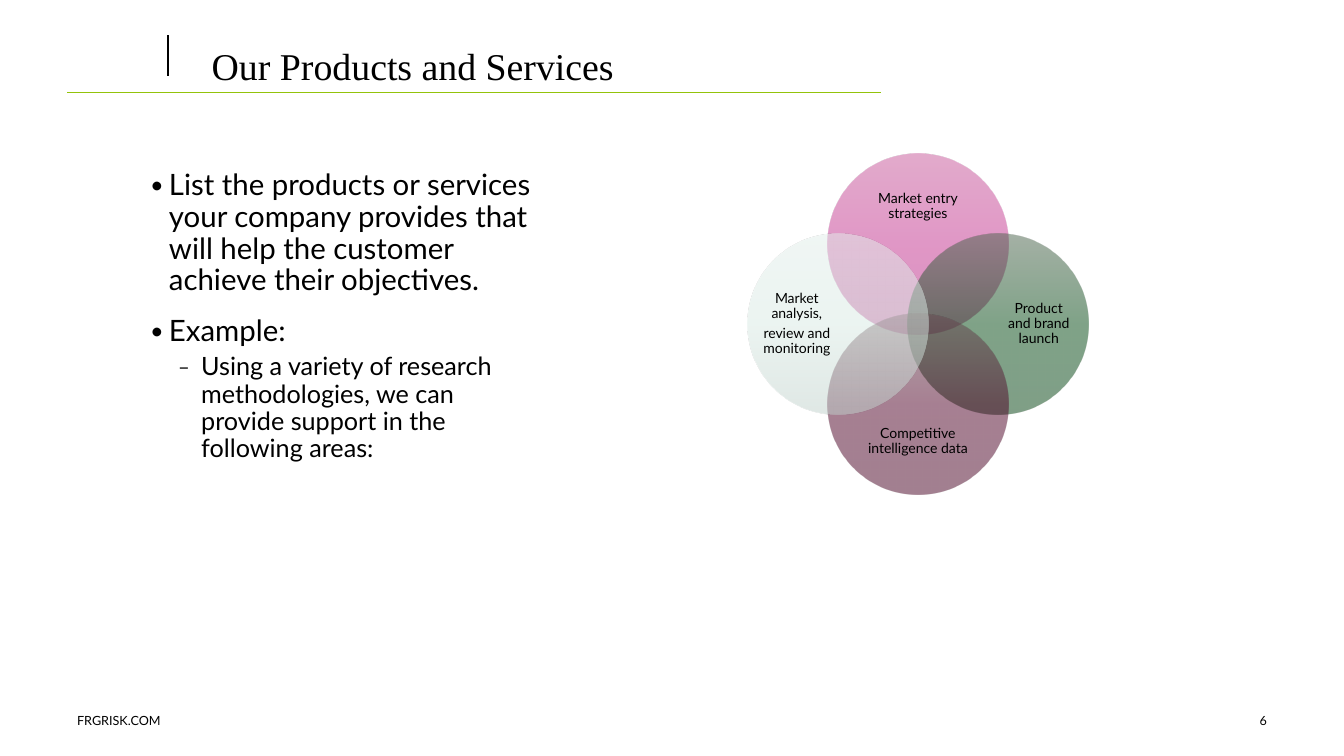
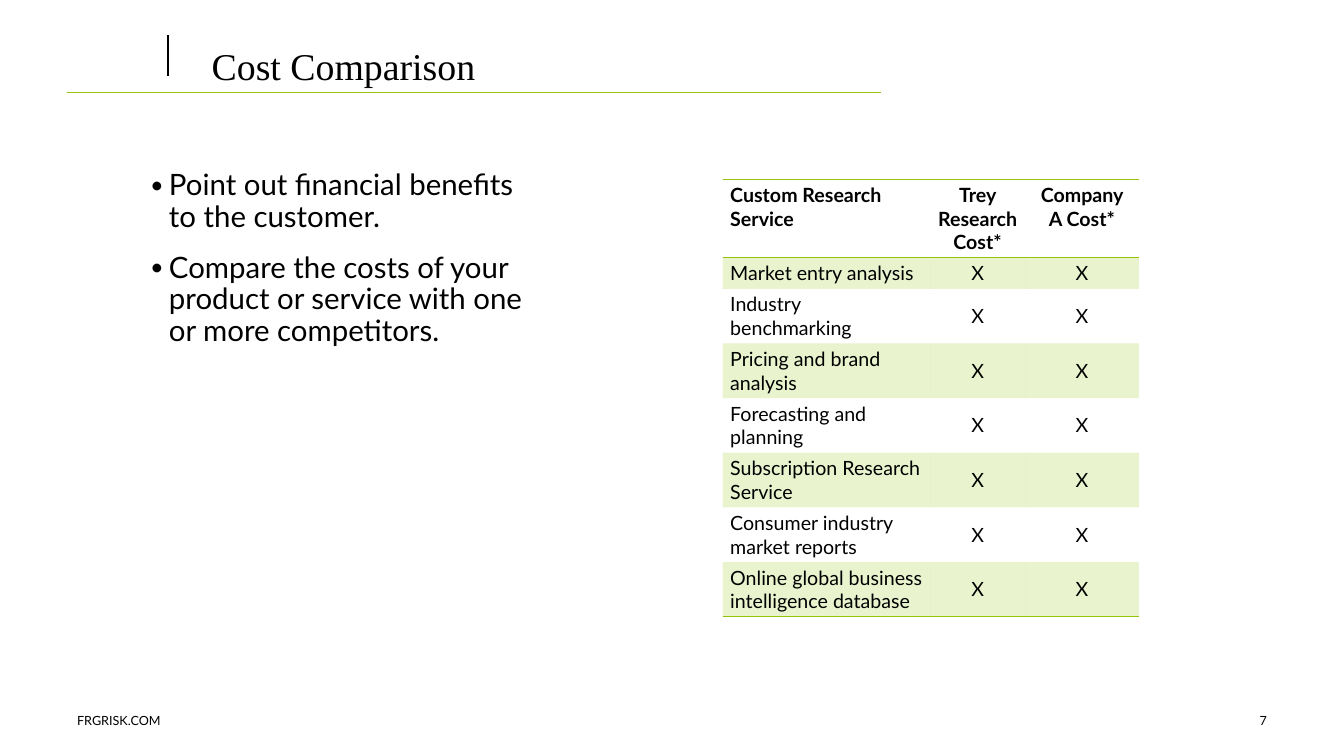
"""Build the products and cost comparison slides."""
from dataclasses import dataclass

from lxml import etree
from pptx import Presentation
from pptx.dml.color import RGBColor
from pptx.enum.shapes import MSO_CONNECTOR, MSO_SHAPE
from pptx.enum.text import MSO_ANCHOR, MSO_AUTO_SIZE, PP_ALIGN
from pptx.oxml.ns import qn
from pptx.util import Pt

LEFT, CENTER, RIGHT = PP_ALIGN.LEFT, PP_ALIGN.CENTER, PP_ALIGN.RIGHT
TOP, MIDDLE, BOTTOM = MSO_ANCHOR.TOP, MSO_ANCHOR.MIDDLE, MSO_ANCHOR.BOTTOM
NO_AUTOFIT = MSO_AUTO_SIZE.NONE
STRAIGHT, OVAL = MSO_CONNECTOR.STRAIGHT, MSO_SHAPE.OVAL

COLORS = {"text": "000000", "accent": "93C30B"}
TITLE_FONT, BODY_FONT = "Times New Roman", "Lato"
PLAIN_TABLE_STYLE = "{2D5ABB26-0587-4C30-8999-92F81FD0307C}"

VENN_X, VENN_Y = 655.6, 231.5
CIRCLE_SIZE, CIRCLE_OFFSET = 128.9, 57.2
LABEL_OFFSET_X, LABEL_OFFSET_Y = 86.4, 84


@dataclass(frozen=True)
class Rule:
    start: tuple[float, float]
    end: tuple[float, float]
    color: str
    weight: float


@dataclass(frozen=True)
class Box:
    left: float
    top: float
    width: float
    height: float

    def lengths(self) -> tuple[Pt, Pt, Pt, Pt]:
        return Pt(self.left), Pt(self.top), Pt(self.width), Pt(self.height)


@dataclass(frozen=True)
class BulletLevel:
    symbol: str
    size: float
    margin: float
    indent: float
    space_before: float


@dataclass(frozen=True)
class Bullet:
    text: str
    level: int = 0


@dataclass(frozen=True)
class Circle:
    lines: tuple[str, ...]
    direction: tuple[int, int]
    gradient: tuple[str, str, str]


TITLE_RULES = (
    Rule((48, 66.2), (629.3, 66.2), "accent", 0.5),
    Rule((120, 25.2), (120, 54), "text", 1.5),
)
TITLE_BOX = Box(144, 24, 768, 42)
BODY_BOX = Box(100, 118, 290.2, 329.8)
FOOTER_BOX = Box(48, 500.4, 304, 28.8)
NUMBER_BOX = Box(688, 500.4, 224, 28.8)
TABLE_BOX = Box(516.2, 128.2, 297.4, 314.6)

BULLET_LEVELS = (
    BulletLevel("•", 21, 13.5, -13.5, 13.5),
    BulletLevel("–", 18, 36.5, -16.5, 4.5),
)
PRODUCT_BULLETS = (
    Bullet("List the products or services your company provides that will help "
           "the customer achieve their objectives."),
    Bullet("Example:"),
    Bullet("Using a variety of research methodologies, we can provide support "
           "in the following areas:", 1),
)
COST_BULLETS = (
    Bullet("Point out financial benefits to the customer."),
    Bullet("Compare the costs of your product or service with one or more competitors."),
)
CIRCLES = (
    Circle(("Market entry strategies",), (0, -1), ("C7579A", "C42F8F", "B42481")),
    Circle(("Product and brand launch",), (1, 0), ("4B624C", "004610", "003E0E")),
    Circle(("Competitive intelligence data",), (0, 1), ("664B51", "4E0025", "450021")),
    Circle(("Market analysis,", "review and monitoring"), (-1, 0),
           ("E3EFEB", "DAEBE5", "C1D2CC")),
)
COST_HEADER = ("Custom Research Service", "Trey Research Cost*", "Company A Cost*")
COST_SERVICES = (
    "Market entry analysis",
    "Industry benchmarking",
    "Pricing and brand analysis",
    "Forecasting and planning",
    "Subscription Research Service",
    "Consumer industry market reports",
    "Online global business intelligence database",
)
COLUMN_WIDTHS = (148.3, 67.7, 81.4)
HEADER_HEIGHT, FIRST_HEIGHT, ROW_HEIGHT = 54, 21.6, 38.4


def rgb(name: str) -> RGBColor:
    return RGBColor.from_string(COLORS[name])


def set_font(paragraph, size: float, name: str = BODY_FONT, bold: bool = False) -> None:
    font = paragraph.font
    font.size, font.name, font.bold = Pt(size), name, bold
    font.color.rgb = rgb("text")


def add_child(parent, tag: str, **attributes: str):
    return etree.SubElement(parent, qn(tag), attributes)


def add_rule(slide, rule: Rule) -> None:
    connector = slide.shapes.add_connector(
        STRAIGHT, *(Pt(value) for value in rule.start + rule.end))
    connector.line.color.rgb = rgb(rule.color)
    connector.line.width = Pt(rule.weight)
    add_child(connector.element.spPr, "a:effectLst")


def place(shape, box: Box) -> None:
    shape.left, shape.top, shape.width, shape.height = box.lengths()


def add_text(slide, box: Box, lines: tuple[str, ...], size: float, align,
             inset: bool = True, line_spacing: float = 1, space_after: float = 0) -> None:
    frame = slide.shapes.add_textbox(*box.lengths()).text_frame
    frame.word_wrap = True
    frame.vertical_anchor = MIDDLE
    if not inset:
        frame.margin_left = frame.margin_top = frame.margin_right = frame.margin_bottom = 0
    frame.text = "\n".join(lines)
    for paragraph in frame.paragraphs:
        paragraph.alignment = align
        paragraph.line_spacing = line_spacing
        paragraph.space_after = Pt(space_after)
        set_font(paragraph, size)


def fill_title(shape, title: str) -> None:
    place(shape, TITLE_BOX)
    frame = shape.text_frame
    frame.text = title
    frame.auto_size = NO_AUTOFIT
    frame.vertical_anchor = BOTTOM
    paragraph = frame.paragraphs[0]
    paragraph.alignment = LEFT
    paragraph.line_spacing = 0.8
    set_font(paragraph, 27, TITLE_FONT)


def fill_bullets(shape, bullets: tuple[Bullet, ...]) -> None:
    place(shape, BODY_BOX)
    frame = shape.text_frame
    frame.text = "\n".join(bullet.text for bullet in bullets)
    frame.auto_size = NO_AUTOFIT
    frame.vertical_anchor = TOP
    for index, (paragraph, bullet) in enumerate(zip(frame.paragraphs, bullets)):
        level = BULLET_LEVELS[bullet.level]
        paragraph.level = bullet.level
        paragraph.alignment = LEFT
        paragraph.line_spacing = 0.9
        paragraph.space_before = Pt(level.space_before if index else 0)
        properties = paragraph._p.get_or_add_pPr()
        properties.set("marL", str(Pt(level.margin)))
        properties.set("indent", str(Pt(level.indent)))
        add_child(add_child(properties, "a:buClr"), "a:srgbClr", val=COLORS["text"])
        add_child(properties, "a:buSzPct", val="80000")
        add_child(properties, "a:buFont", typeface=BODY_FONT)
        add_child(properties, "a:buChar", char=level.symbol)
        set_font(paragraph, level.size)


def add_slide(presentation, title: str, bullets: tuple[Bullet, ...], number: int):
    slide = presentation.slides.add_slide(presentation.slide_layouts[1])
    for rule in TITLE_RULES:
        add_rule(slide, rule)
    fill_title(slide.shapes.title, title)
    fill_bullets(slide.placeholders[1], bullets)
    add_text(slide, FOOTER_BOX, ("FRGRISK.COM",), 9, LEFT)
    add_text(slide, NUMBER_BOX, (str(number),), 9, RIGHT)
    return slide


def set_gradient(shape, colors: tuple[str, str, str]) -> None:
    shape.fill.background()
    properties = shape.element.spPr
    gradient = etree.Element(qn("a:gradFill"), rotWithShape="1")
    stops = add_child(gradient, "a:gsLst")
    for position, color in zip((0, 50000, 100000), colors):
        stop = add_child(stops, "a:gs", pos=str(position))
        add_child(add_child(stop, "a:srgbClr", val=color), "a:alpha", val="50000")
    add_child(gradient, "a:lin", ang="5400000", scaled="0")
    properties.replace(properties.find(qn("a:noFill")), gradient)


def centered_box(x: float, y: float, width: float, height: float) -> Box:
    return Box(x - width / 2, y - height / 2, width, height)


def add_circle(slide, circle: Circle) -> None:
    across, down = circle.direction
    box = centered_box(VENN_X + across * CIRCLE_OFFSET, VENN_Y + down * CIRCLE_OFFSET,
                       CIRCLE_SIZE, CIRCLE_SIZE)
    shape = slide.shapes.add_shape(OVAL, *box.lengths())
    shape.shadow.inherit = False
    shape.line.fill.background()
    set_gradient(shape, circle.gradient)
    label_size = (49.7, 99.4) if across else (99.4, 41)
    label = centered_box(VENN_X + across * LABEL_OFFSET_X,
                         VENN_Y + down * LABEL_OFFSET_Y, *label_size)
    add_text(slide, label, circle.lines, 10, CENTER, False, 0.9, 3.5)


def add_borders(cell, tags: tuple[str, ...]) -> None:
    properties = cell._tc.get_or_add_tcPr()
    for index, tag in enumerate(tags):
        line = etree.Element(qn(tag), w=str(Pt(1)))
        add_child(add_child(line, "a:solidFill"), "a:srgbClr", val=COLORS["accent"])
        properties.insert(index, line)


def format_cell(cell, text: str, header: bool, shaded: bool, align) -> None:
    cell.text = text
    cell.margin_left = cell.margin_right = Pt(5.4)
    cell.margin_top = cell.margin_bottom = Pt(2.7)
    cell.vertical_anchor = TOP if header else MIDDLE
    paragraph = cell.text_frame.paragraphs[0]
    paragraph.alignment = align
    set_font(paragraph, 14, bold=header)
    if shaded:
        cell.fill.solid()
        cell.fill.fore_color.rgb = rgb("accent")
        color = next(cell._tc.tcPr.iter(qn("a:srgbClr")))
        add_child(color, "a:alpha", val="20000")
    else:
        cell.fill.background()


def add_cost_table(slide) -> None:
    rows = [COST_HEADER] + [(service, "X", "X") for service in COST_SERVICES]
    frame = slide.shapes.add_table(len(rows), len(COST_HEADER), *TABLE_BOX.lengths())
    next(frame.element.iter(qn("a:tableStyleId"))).text = PLAIN_TABLE_STYLE
    table = frame.table
    table.first_row = table.horz_banding = False
    for column, width in zip(table.columns, COLUMN_WIDTHS):
        column.width = Pt(width)
    heights = {0: HEADER_HEIGHT, 1: FIRST_HEIGHT}
    borders = {0: ("a:lnT", "a:lnB"), len(rows) - 1: ("a:lnB",)}
    for row_index, texts in enumerate(rows):
        table.rows[row_index].height = Pt(heights.get(row_index, ROW_HEIGHT))
        for column_index, text in enumerate(texts):
            cell = table.cell(row_index, column_index)
            format_cell(cell, text, row_index == 0, row_index % 2 == 1,
                        CENTER if column_index else LEFT)
            add_borders(cell, borders.get(row_index, ()))


def main() -> None:
    presentation = Presentation()
    presentation.slide_width, presentation.slide_height = Pt(960), Pt(540)
    products = add_slide(presentation, "Our Products and Services", PRODUCT_BULLETS, 6)
    for circle in CIRCLES:
        add_circle(products, circle)
    costs = add_slide(presentation, "Cost Comparison", COST_BULLETS, 7)
    add_cost_table(costs)
    presentation.save("out.pptx")


if __name__ == "__main__":
    main()
